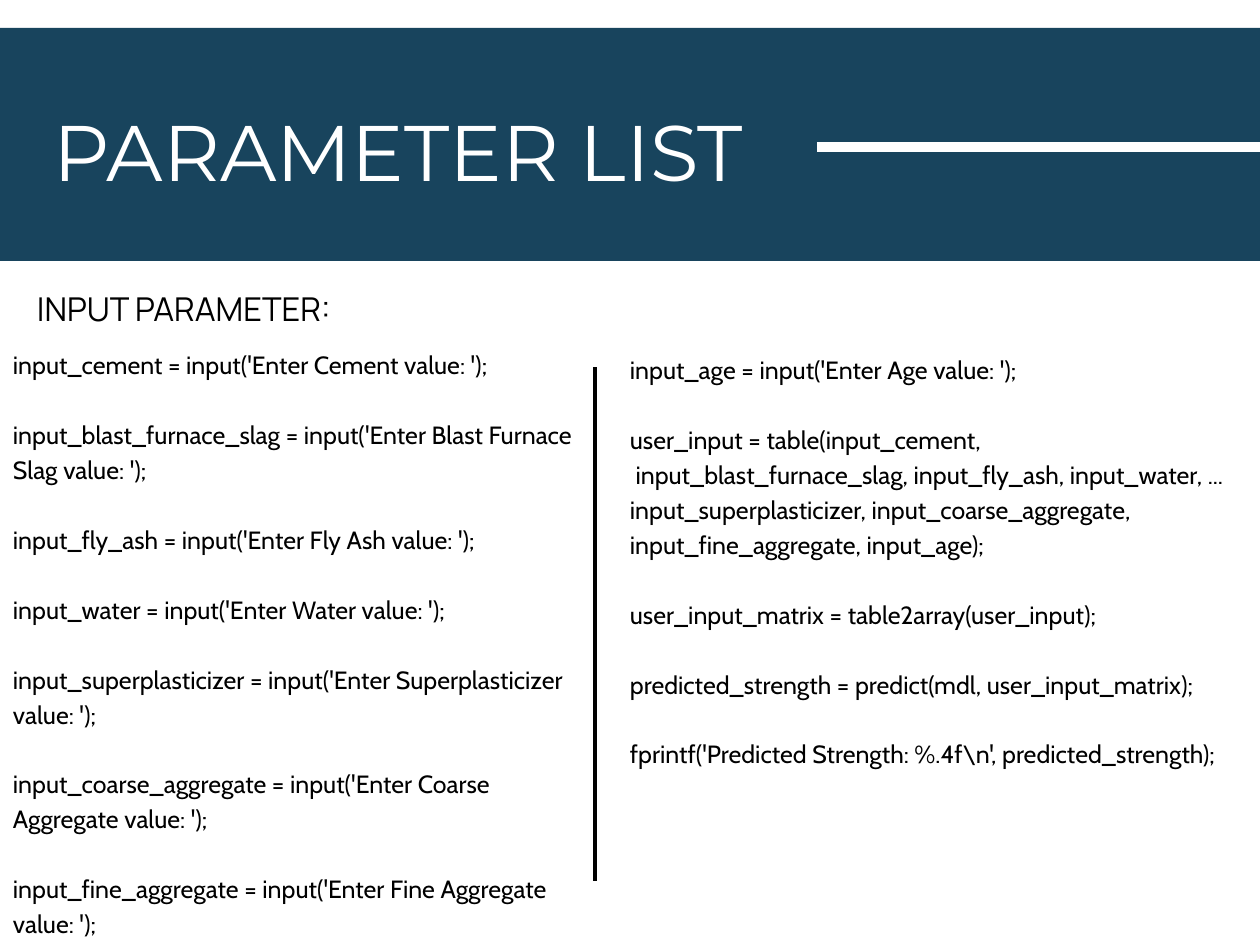
from lxml import etree
from pptx import Presentation
from pptx.dml.color import RGBColor
from pptx.enum.shapes import MSO_CONNECTOR, MSO_SHAPE
from pptx.oxml.ns import qn
from pptx.util import Emu, Pt

STRAIGHT = MSO_CONNECTOR.STRAIGHT
RECTANGLE = MSO_SHAPE.RECTANGLE

EMU_PER_PX = 7743
SLIDE_SIZE = (1260, 945)
COLORS = {"band": "18445D", "light": "FFFFFF", "dark": "000000"}

# Each block is a list of code lines; blocks are set one line apart.
INPUT_BLOCKS = [
    ["input_cement = input('Enter Cement value: ');"],
    ["input_blast_furnace_slag = input('Enter Blast Furnace Slag value: ');"],
    ["input_fly_ash = input('Enter Fly Ash value: ');"],
    ["input_water = input('Enter Water value: ');"],
    ["input_superplasticizer = input('Enter Superplasticizer value: ');"],
    ["input_coarse_aggregate = input('Enter Coarse Aggregate value: ');"],
    ["input_fine_aggregate = input('Enter Fine Aggregate value: ');"],
]
PREDICTION_BLOCKS = [
    ["input_age = input('Enter Age value: ');"],
    [
        "user_input = table(input_cement,",
        " input_blast_furnace_slag, input_fly_ash, input_water, ...",
        "input_superplasticizer, input_coarse_aggregate, input_fine_aggregate, input_age);",
    ],
    ["user_input_matrix = table2array(user_input);"],
    ["predicted_strength = predict(mdl, user_input_matrix);"],
    ["fprintf('Predicted Strength: %.4f\\n', predicted_strength);"],
]

# Style: font, size and line spacing in points, color
TITLE = ("Montserrat", 48, 67.2, "light")
HEADING = ("Manrope", 20, 40, "dark")
CODE = ("Cabin", 15.2, 21.3, "dark")

# Text: left, top, width, height in px, style, blocks
TEXTS = [
    ((54, 87, 816, 105), TITLE, [["PARAMETER LIST"]]),
    ((37, 262, 639, 58), HEADING, [["INPUT PARAMETER:"]]),
    ((13, 345, 582, 600), CODE, INPUT_BLOCKS),
    ((630, 350, 630, 550), CODE, PREDICTION_BLOCKS),
]
BAND = (-5, 28, 1270, 233)
# Line: start x, start y, end x, end y in px, color, width in points
LINES = [
    ((817, 147, 1265, 147), "light", 6.4),
    ((595, 881, 595, 367), "dark", 3),
]


def px(*lengths):
    return [Emu(length * EMU_PER_PX) for length in lengths]


def rgb(name):
    return RGBColor.from_string(COLORS[name])


def add_band(slide):
    band = slide.shapes.add_shape(RECTANGLE, *px(*BAND))
    band.shadow.inherit = False
    band.fill.solid()
    band.fill.fore_color.rgb = rgb("band")
    band.line.fill.background()


def add_line(slide, ends, color, width):
    line = slide.shapes.add_connector(STRAIGHT, *px(*ends))
    line.line.color.rgb = rgb(color)
    line.line.width = Pt(width)
    etree.SubElement(line._element.spPr, qn("a:effectLst"))


def add_text(slide, box, style, blocks):
    font_name, size, spacing, color = style
    frame = slide.shapes.add_textbox(*px(*box)).text_frame
    frame.word_wrap = True
    frame.margin_left = frame.margin_right = 0
    frame.margin_top = frame.margin_bottom = 0
    lines = [(line, block_index > 0 and line_index == 0)
             for block_index, block in enumerate(blocks)
             for line_index, line in enumerate(block)]
    for index, (line, starts_block) in enumerate(lines):
        paragraph = frame.add_paragraph() if index else frame.paragraphs[0]
        paragraph.line_spacing = Pt(spacing)
        if starts_block:
            paragraph.space_before = Pt(spacing)
        run = paragraph.add_run()
        run.text = line
        run.font.name = font_name
        run.font.size = Pt(size)
        run.font.color.rgb = rgb(color)


def main():
    presentation = Presentation()
    presentation.slide_width, presentation.slide_height = px(*SLIDE_SIZE)
    slide = presentation.slides.add_slide(presentation.slide_layouts[6])
    add_band(slide)
    for line in LINES:
        add_line(slide, *line)
    for text in TEXTS:
        add_text(slide, *text)
    presentation.save("out.pptx")


if __name__ == "__main__":
    main()
